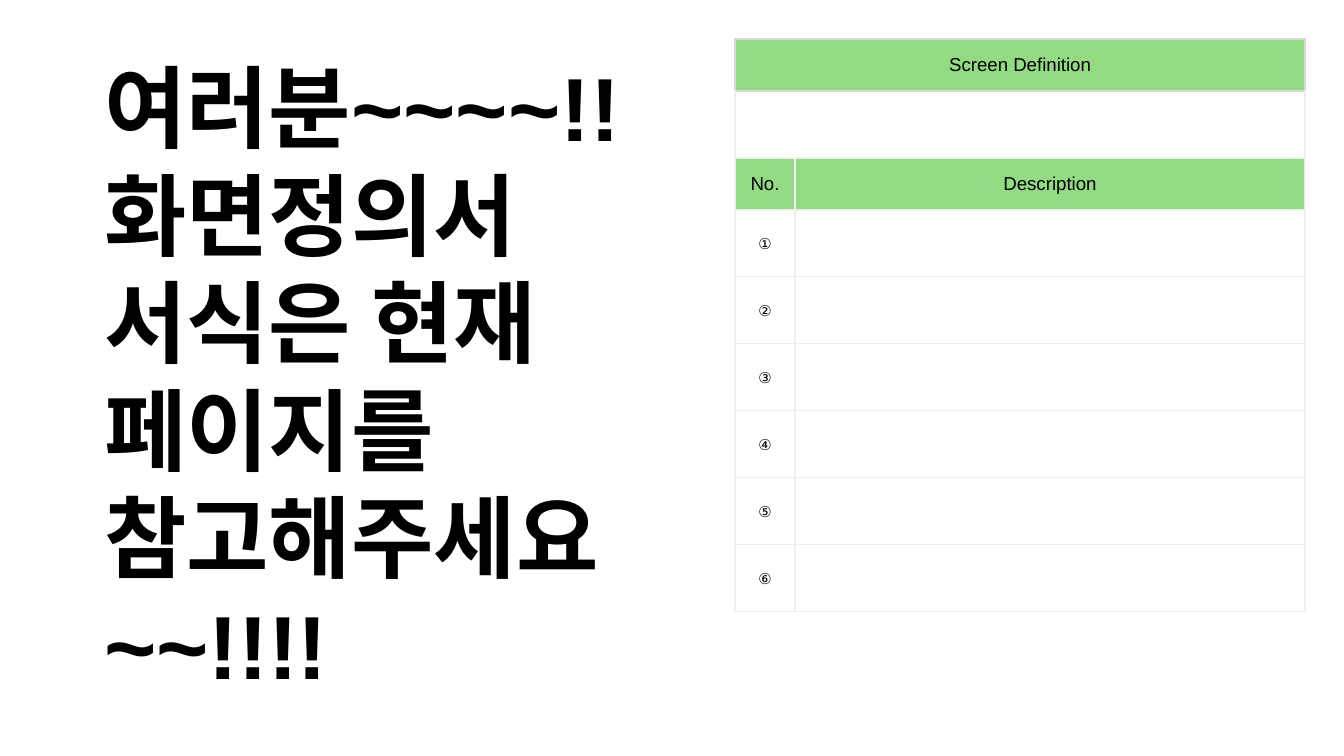
from pptx import Presentation
from pptx.dml.color import RGBColor
from pptx.enum.text import MSO_ANCHOR, MSO_AUTO_SIZE, PP_ALIGN
from pptx.oxml.ns import qn
from pptx.util import Pt
from lxml import etree

LEFT, CENTER = PP_ALIGN.LEFT, PP_ALIGN.CENTER
TOP, MIDDLE = MSO_ANCHOR.TOP, MSO_ANCHOR.MIDDLE
NO_AUTOFIT = MSO_AUTO_SIZE.NONE

PX = 914400 / 134.4
THEME = {
    "font": "Arial", "text": "000000", "header": "92DB82",
    "line": "EFEFEF", "head_line": "D9D9D9", "line_width": 0.75,
    "title": 48, "label": 10, "number": 8,
}


def px(n):
    return round(n * PX)


def write(tf, *lines, size, bold=False, align=CENTER, spacing=1.0):
    for i, line in enumerate(lines):
        p = tf.paragraphs[0] if i == 0 else tf.add_paragraph()
        p.alignment = align
        p.line_spacing = spacing
        r = p.add_run()
        r.text = line
        r.font.name = THEME["font"]
        r.font.size = Pt(size)
        r.font.bold = bold
        r.font.color.rgb = RGBColor.from_string(THEME["text"])


prs = Presentation()
prs.slide_width, prs.slide_height = px(1344), px(756)
s = prs.slides.add_slide(prs.slide_layouts[5])

# Message on the left
title = s.shapes.title
title.left, title.top, title.width, title.height = px(91), px(39), px(629), px(711)
tf = title.text_frame
tf.word_wrap = True
tf.auto_size = NO_AUTOFIT
tf.vertical_anchor = TOP
tf.margin_left = tf.margin_right = tf.margin_top = tf.margin_bottom = px(13)
write(tf, "여러분~~~~!!", "화면정의서 서식은 현재 페이지를 참고해주세요~~!!!!",
      size=THEME["title"], bold=True, align=LEFT)

# Screen definition table
rows = [("Screen Definition", ""), ("", ""), ("No.", "Description")]
rows += [(number, "") for number in "①②③④⑤⑥"]
HEADER_ROWS, MERGED_ROWS = (0, 2), (0, 1)
col_widths = [60, 510]
row_heights = [52 if i in HEADER_ROWS else 67 for i in range(len(rows))]

table = s.shapes.add_table(len(rows), len(col_widths), px(735), px(39),
                           px(sum(col_widths)), px(sum(row_heights))).table
table.first_row = table.horz_banding = False
for column, width in zip(table.columns, col_widths):
    column.width = px(width)
for row, height in zip(table.rows, row_heights):
    row.height = px(height)
for i in MERGED_ROWS:
    table.cell(i, 0).merge(table.cell(i, 1))

for i, texts in enumerate(rows):
    for j, text in enumerate(texts):
        cell = table.cell(i, j)
        tcPr = cell._tc.get_or_add_tcPr()
        for side in ("lnL", "lnR", "lnT", "lnB"):
            dark = i == 0 or (i == 1 and side == "lnT")
            ln = etree.SubElement(tcPr, qn(f"a:{side}"), w=str(Pt(THEME["line_width"])))
            fill = etree.SubElement(ln, qn("a:solidFill"))
            etree.SubElement(fill, qn("a:srgbClr"),
                             val=THEME["head_line" if dark else "line"])
        if i in HEADER_ROWS:
            cell.fill.solid()
            cell.fill.fore_color.rgb = RGBColor.from_string(THEME["header"])
        else:
            cell.fill.background()
        if text:
            cell.vertical_anchor = MIDDLE
            cell.margin_left = cell.margin_right = px(13)
            cell.margin_top = cell.margin_bottom = px(13)
            is_header = i in HEADER_ROWS
            write(cell.text_frame, text,
                  size=THEME["label" if is_header else "number"],
                  spacing=1.0 if is_header else 1.15)

prs.save("out.pptx")
